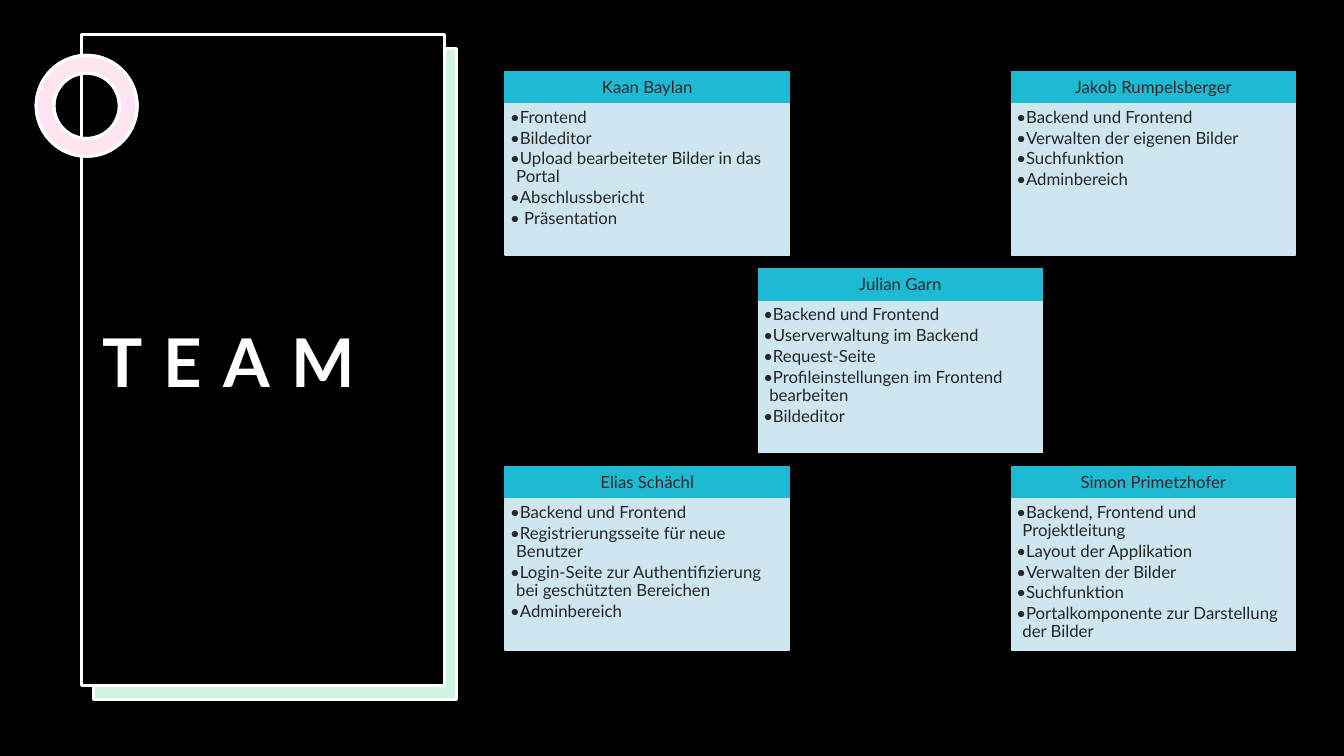
from dataclasses import dataclass

from lxml.etree import SubElement
from pptx import Presentation
from pptx.dml.color import RGBColor
from pptx.enum.shapes import MSO_SHAPE as SHAPE
from pptx.enum.text import MSO_ANCHOR as ANCHOR, PP_ALIGN as ALIGN
from pptx.oxml.ns import qn
from pptx.util import Inches, Pt


@dataclass(frozen=True)
class Theme:
    """Colours, font and type sizes of the slide."""
    black: str = "000000"
    white: str = "FFFFFF"
    green: str = "21C46B"
    pink: str = "FF80BD"
    header: str = "1EB9D3"
    body: str = "CDE6EF"
    ink: str = "262626"
    font: str = "Lato"
    title_size: int = 48
    text_size: int = 12
    frame_line: float = 2.25
    card_line: float = 1


THEME = Theme()
SLIDE_W, SLIDE_H = 13.33, 7.5

TEAM = [
    (0, 0, "Kaan Baylan", [
        "Frontend", "Bildeditor", "Upload bearbeiteter Bilder in das Portal",
        "Abschlussbericht", " Präsentation"]),
    (1, 1, "Julian Garn", [
        "Backend und Frontend", "Userverwaltung im Backend", "Request-Seite",
        "Profileinstellungen im Frontend bearbeiten", "Bildeditor"]),
    (2, 0, "Jakob Rumpelsberger", [
        "Backend und Frontend", "Verwalten der eigenen Bilder",
        "Suchfunktion", "Adminbereich"]),
    (0, 2, "Elias Schächl", [
        "Backend und Frontend", "Registrierungsseite für neue Benutzer",
        "Login-Seite zur Authentifizierung bei geschützten Bereichen",
        "Adminbereich"]),
    (2, 2, "Simon Primetzhofer", [
        "Backend, Frontend und Projektleitung", "Layout der Applikation",
        "Verwalten der Bilder", "Suchfunktion",
        "Portalkomponente zur Darstellung der Bilder"]),
]


def add_shape(s, kind, box, fill, line=None, width=1, alpha=100):
    """Add a flat preset shape with the given fill and outline."""
    sp = s.shapes.add_shape(kind, *map(Inches, box))
    sp.shadow.inherit = False
    sp.fill.solid()
    sp.fill.fore_color.rgb = RGBColor.from_string(fill)
    if alpha < 100:
        color = sp.element.spPr.find(qn("a:solidFill"))[0]
        SubElement(color, qn("a:alpha"), val=str(alpha * 1000))
    if line is None:
        sp.line.fill.background()
        return sp
    sp.line.color.rgb = RGBColor.from_string(line)
    sp.line.width = Pt(width)
    return sp


def set_frame(sp, anchor, margins):
    """Set wrapping, anchor and insets, and return the text frame."""
    tf = sp.text_frame
    tf.word_wrap = True
    tf.vertical_anchor = anchor
    tf.margin_left, tf.margin_top, tf.margin_right, tf.margin_bottom = map(Inches, margins)
    return tf


def add_run(p, text, size, color, bold=False):
    """Add one formatted run to a paragraph."""
    p.line_spacing = 0.9
    r = p.add_run()
    r.text = text
    r.font.name = THEME.font
    r.font.size = Pt(size)
    r.font.bold = bold
    r.font.color.rgb = RGBColor.from_string(color)
    return r


def add_title_panel(s, x, y, w, h):
    """Draw the framed title panel with its offset backing and ring."""
    t = THEME
    add_shape(s, SHAPE.RECTANGLE, (x + 0.11, y + 0.15, w, h), t.white)
    add_shape(s, SHAPE.RECTANGLE, (x + 0.12, y + 0.14, w, h),
              t.green, t.white, t.frame_line, alpha=20)
    add_shape(s, SHAPE.RECTANGLE, (x, y, w, h), t.black, t.white, t.frame_line)
    for fill, alpha in ((t.white, 100), (t.pink, 20)):
        ring = add_shape(s, SHAPE.DONUT, (x - 0.45, y + 0.21, 1, 1),
                         fill, t.white, t.frame_line, alpha)
        ring.adjustments[0] = 0.175
    tb = s.shapes.add_textbox(*map(Inches, (x + 0.11, y + 0.97, 3.4, 4.63)))
    tf = set_frame(tb, ANCHOR.MIDDLE, (0.1, 0.05, 0.1, 0.05))
    r = add_run(tf.paragraphs[0], "TEAM", t.title_size, t.white, bold=True)
    r.font._element.set("spc", "1500")


def add_bullet(p, indent):
    """Give a paragraph a hanging bullet in the text font."""
    pPr = p._p.get_or_add_pPr()
    pPr.set("marL", str(Inches(indent)))
    pPr.set("indent", str(-Inches(indent)))
    SubElement(pPr, qn("a:buFont"), typeface=THEME.font)
    SubElement(pPr, qn("a:buChar"), char="•")


def add_card(s, x, y, w, h, name, tasks):
    """Draw one member card: a name header above a bulleted task list."""
    t = THEME
    head_h = 0.32
    head = add_shape(s, SHAPE.RECTANGLE, (x, y, w, head_h), t.header, t.header, t.card_line)
    p = set_frame(head, ANCHOR.MIDDLE, (0.07, 0.04, 0.07, 0.04)).paragraphs[0]
    p.alignment = ALIGN.CENTER
    add_run(p, name, t.text_size, t.ink)
    body = add_shape(s, SHAPE.RECTANGLE, (x, y + head_h, w, h - head_h),
                     t.body, t.body, t.card_line)
    tf = set_frame(body, ANCHOR.TOP, (0.05, 0.05, 0.07, 0.08))
    for i, task in enumerate(tasks):
        p = tf.add_paragraph() if i else tf.paragraphs[0]
        p.alignment = ALIGN.LEFT
        p.space_after = Pt(1.9)
        add_run(p, task, t.text_size, t.ink)
        add_bullet(p, 0.06)


def add_team(s, x, y):
    """Place the member cards on a three by three grid."""
    for col, row, name, tasks in TEAM:
        add_card(s, x + col * 2.51, y + row * 1.96, 2.82, 1.82, name, tasks)


def main():
    """Build the team slide and save it."""
    prs = Presentation()
    prs.slide_width, prs.slide_height = Inches(SLIDE_W), Inches(SLIDE_H)
    s = prs.slides.add_slide(prs.slide_layouts[6])
    s.background.fill.solid()
    s.background.fill.fore_color.rgb = RGBColor.from_string(THEME.black)
    add_shape(s, SHAPE.RECTANGLE, (0, 0, SLIDE_W, SLIDE_H), THEME.black)
    add_title_panel(s, 0.81, 0.34, 3.6, 6.46)
    add_team(s, 5.01, 0.71)
    prs.save("out.pptx")


if __name__ == "__main__":
    main()
